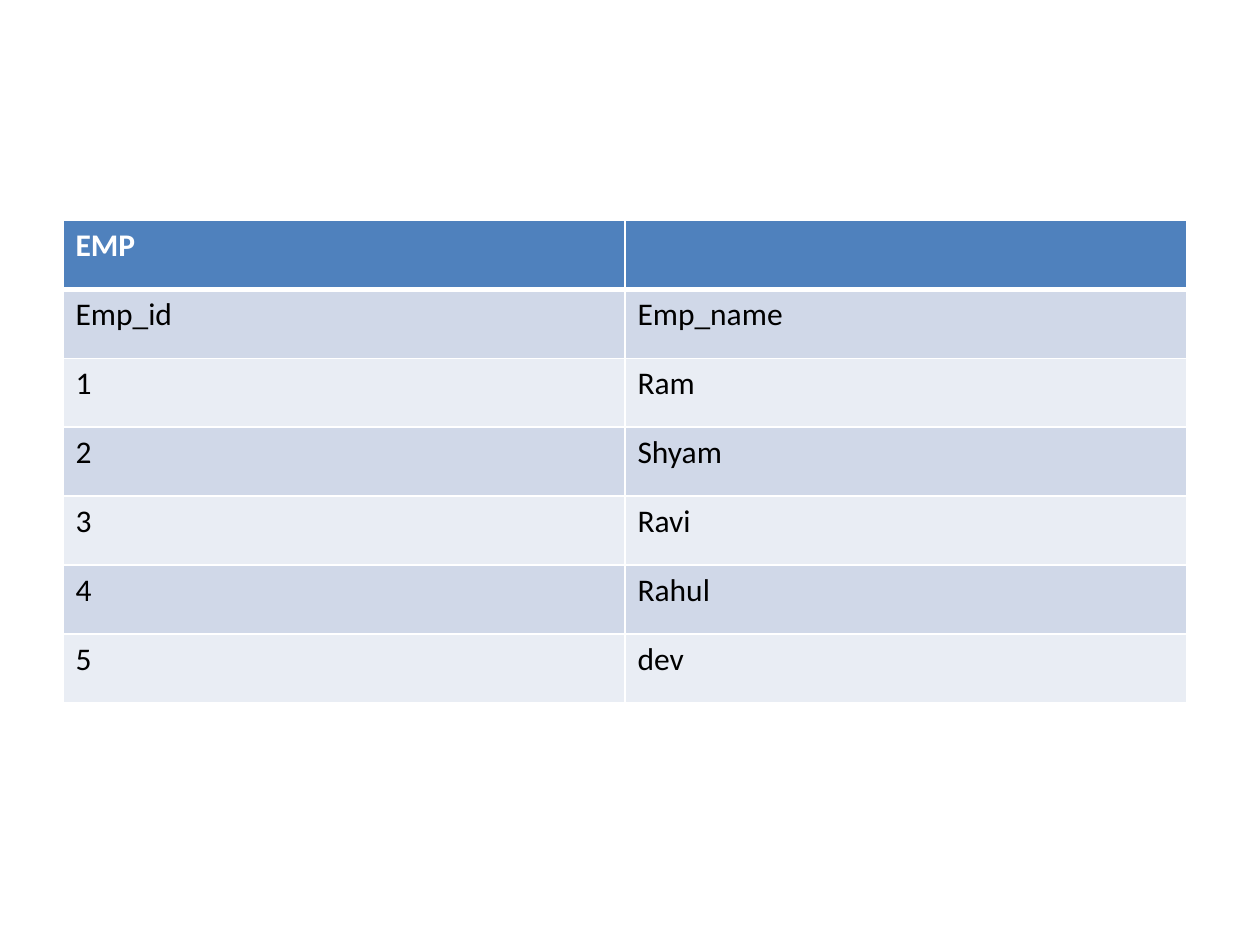
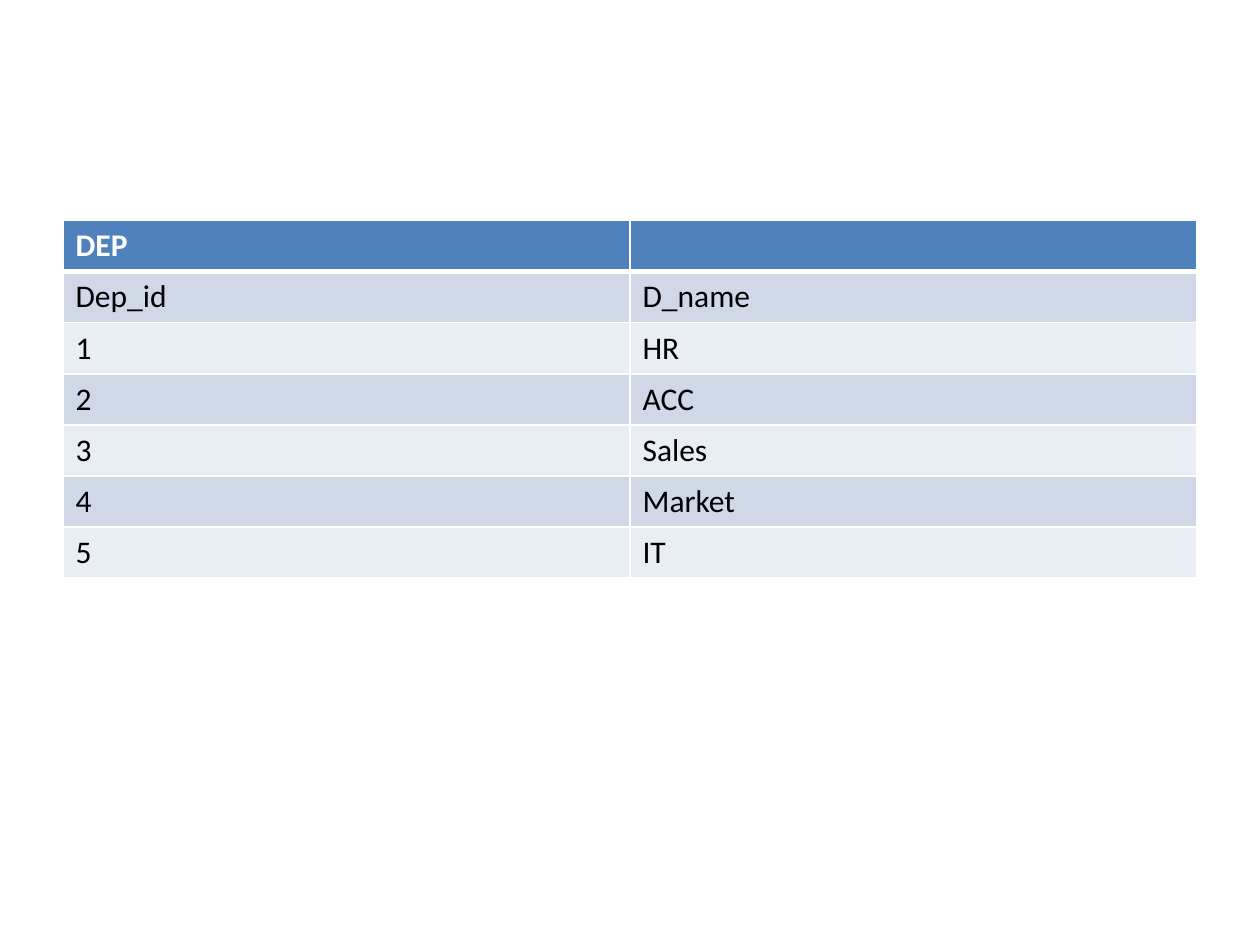
from lxml import etree
from pptx import Presentation
from pptx import util as u
from pptx.dml import color
from pptx.oxml import ns

COLORS = {
    "header": "4F81BD",
    "band_dark": "D0D8E8",
    "band_light": "E9EDF4",
    "line": "FFFFFF",
    "header_text": "FFFFFF",
    "body_text": "000000",
}
FONT = {"name": "Calibri", "size": u.Pt(18)}
LEFT, TOP = 0.5, 1.75
THIN, THICK = 1, 3

EMPLOYEES = [
    ("EMP", ""),
    ("Emp_id", "Emp_name"),
    ("1", "Ram"),
    ("2", "Shyam"),
    ("3", "Ravi"),
    ("4", "Rahul"),
    ("5", "dev"),
]
DEPARTMENTS = [
    ("DEP", ""),
    ("Dep_id", "D_name"),
    ("1", "HR"),
    ("2", "ACC"),
    ("3", "Sales"),
    ("4", "Market"),
    ("5", "IT"),
]


def rgb(name):
    return color.RGBColor.from_string(COLORS[name])


class Deck:
    """Holds the presentation, its table style and the current slide."""

    def __init__(self):
        self.prs = Presentation()
        self.prs.slide_width = u.Inches(10)
        self.prs.slide_height = u.Inches(7.5)
        self.s = None

    def slide(self):
        self.s = self.prs.slides.add_slide(self.prs.slide_layouts[6])

    def table(self, rows, col_width, row_height):
        n_rows, n_cols = len(rows), len(rows[0])
        table = self.s.shapes.add_table(
            n_rows, n_cols, u.Inches(LEFT), u.Inches(TOP),
            u.Inches(col_width * n_cols), u.Inches(row_height * n_rows)).table
        for col in table.columns:
            col.width = u.Inches(col_width)
        for i, values in enumerate(rows):
            table.rows[i].height = u.Inches(row_height)
            for j, value in enumerate(values):
                self.cell(table.cell(i, j), value, i)

    def cell(self, cell, value, row):
        header = row == 0
        band = "header" if header else "band_dark" if row % 2 else "band_light"
        self.borders(cell, top=THICK if row == 1 else THIN,
                     bottom=THICK if header else THIN)
        cell.fill.solid()
        cell.fill.fore_color.rgb = rgb(band)
        p = cell.text_frame.paragraphs[0]
        if value:
            p.add_run().text = value
        for key, setting in {**FONT, "bold": header}.items():
            setattr(p.font, key, setting)
            for r in p.runs:
                setattr(r.font, key, setting)
        for r in p.runs:
            r.font.color.rgb = rgb("header_text" if header else "body_text")

    def borders(self, cell, top, bottom):
        """Add the four cell lines; must run before the cell is filled."""
        tc_pr = cell._tc.get_or_add_tcPr()
        for side, width in zip("LRTB", (THIN, THIN, top, bottom)):
            ln = etree.SubElement(tc_pr, ns.qn(f"a:ln{side}"), w=str(u.Pt(width)))
            fill = etree.SubElement(ln, ns.qn("a:solidFill"))
            etree.SubElement(fill, ns.qn("a:srgbClr"), val=COLORS["line"])


def main():
    deck = Deck()
    deck.slide()
    deck.table(EMPLOYEES, col_width=4.46, row_height=0.547)
    deck.slide()
    deck.table(DEPARTMENTS, col_width=4.5, row_height=0.405)
    deck.prs.save("out.pptx")


if __name__ == "__main__":
    main()
